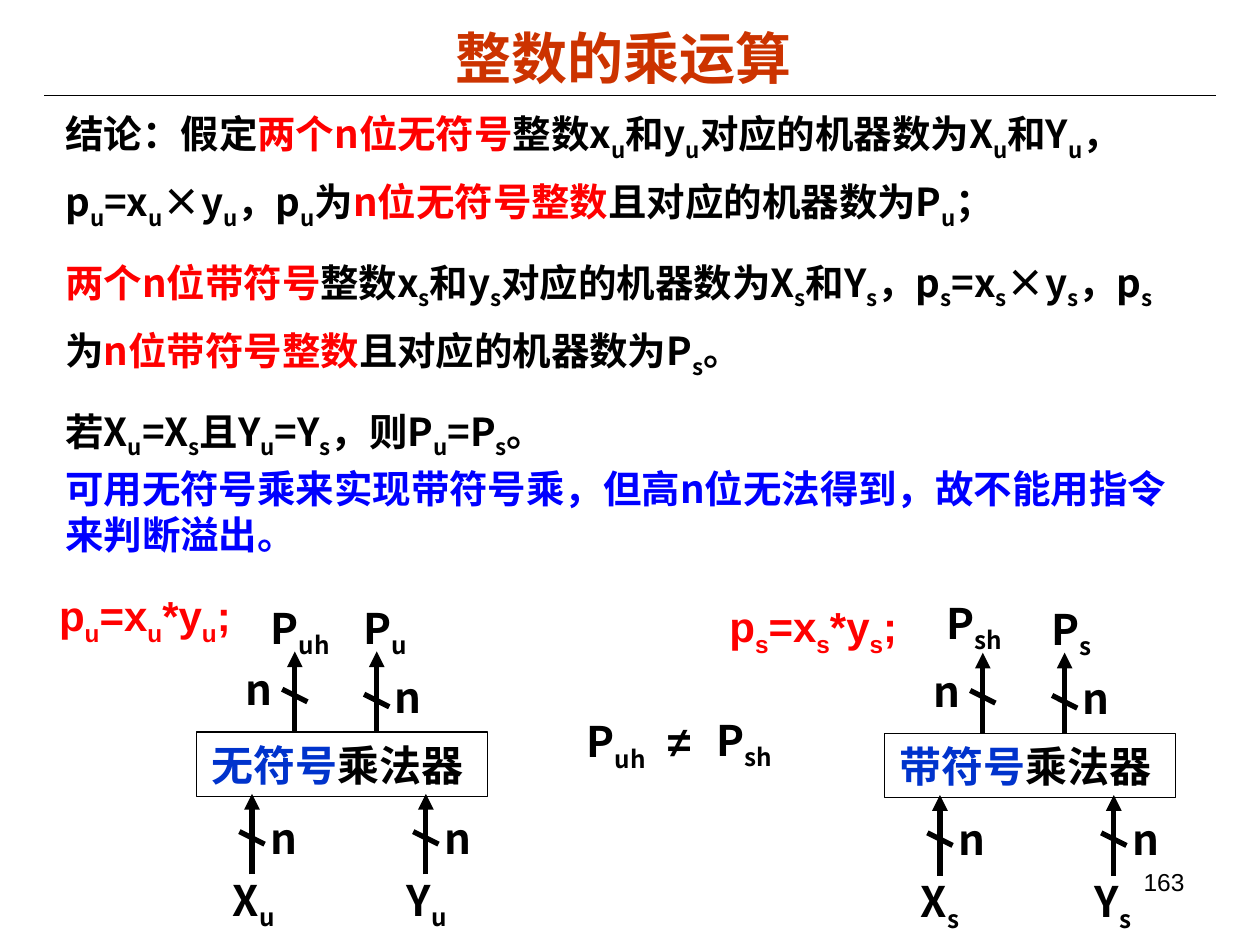
from lxml import etree
from pptx import Presentation
from pptx.dml.color import RGBColor
from pptx.enum import shapes, text
from pptx.oxml import ns
from pptx.util import Inches, Pt

BLACK = RGBColor(0x00, 0x00, 0x00)
RED = RGBColor(0xFF, 0x00, 0x00)
BLUE = RGBColor(0x00, 0x00, 0xFF)
DEEP_BLUE = RGBColor(0x00, 0x33, 0xCC)
RUST = RGBColor(0xCC, 0x33, 0x00)
SANS, CJK = "Arial", "Noto Sans CJK SC"

# Content: #...# is accented, ~...~ is subscript
TITLE = "整数的乘运算 "
CONCLUSIONS = [
    "结论：假定#两个n位无符号#整数x~u~和y~u~对应的机器数为X~u~和Y~u~，p~u~=x~u~×y~u~，"
    "p~u~为#n位无符号整数#且对应的机器数为P~u~；",
    "#两个n位带符号#整数x~s~和y~s~对应的机器数为X~s~和Y~s~，p~s~=x~s~×y~s~，"
    "p~s~为#n位带符号整数#且对应的机器数为P~s~。",
    "若X~u~=X~s~且Y~u~=Y~s~，则P~u~=P~s~。",
]
REMARK = ["可用无符号乘来实现带符号乘，但高n位无法得到，故不能用指令来判断溢出。"]
PAGE_NUMBER = "163"

# Multipliers: box corner, subscript, name, formula box and high-half box
MULTIPLIERS = [
    dict(corner=(1.56, 5.81), sub="u", name="#无符号#乘法器 ",
         formula=(0.37, 4.63, 1.62, 0.5), high=(2.05, 4.73, 0.74, 0.5)),
    dict(corner=(7.02, 5.82), sub="s", name="#带符号#乘法器 ",
         formula=(5.69, 4.72, 1.58, 0.5), high=(7.41, 4.69, 0.69, 0.5)),
]
BOX_WIDTH, BOX_HEIGHT = 2.31, 0.51
ARROW_LENGTH = 0.64
# Arrows, relative to the box corner: x, start y, middle y of the tick
ARROWS = [(0.44, 1.13, 0.84), (1.82, 1.13, 0.84),
          (0.78, 0, -0.29), (1.43, 0, -0.25)]
# Labels, relative to the box corner
LABELS = [("X~{}~", 0.19, 1.08), ("Y~{}~", 1.57, 1.08), ("P~{}~", 1.23, -1.08),
          ("n", 0.29, -0.59), ("n", 1.47, -0.53),
          ("n", 0.49, 0.59), ("n", 1.87, 0.59)]
INEQUALITY = [("P~uh~", CJK, (4.56, 5.63, 0.74, 0.5)),
              ("P~sh~", CJK, (5.59, 5.62, 0.69, 0.5)),
              ("≠", SANS, (5.2, 5.63, 0.44, 0.5))]


def write(frame, lines, size=24, font=CJK, color=BLACK, accent=RED, bold=True,
          align=None, line_spacing=None, gap=0):
    for index, line in enumerate(lines):
        paragraph = frame.paragraphs[0] if index == 0 else frame.add_paragraph()
        paragraph.alignment = align
        paragraph.line_spacing = line_spacing
        if index:
            paragraph.space_before = Pt(gap)
        paragraph.font.size, paragraph.font.name = Pt(size), font
        paragraph.font.bold = bold
        paragraph.font.color.rgb = color
        for i, part in enumerate(line.split("#")):
            for j, piece in enumerate(part.split("~")):
                if not piece:
                    continue
                run = paragraph.add_run()
                run.text = piece
                if i % 2:
                    run.font.color.rgb = accent
                if j % 2:
                    run.font._element.set("baseline", "-25000")


def add_text(parent, place, lines, wrap=True, anchor=text.MSO_ANCHOR.TOP, **style):
    frame = parent.add_textbox(*map(Inches, place)).text_frame
    frame.word_wrap = wrap
    frame.auto_size = text.MSO_AUTO_SIZE.SHAPE_TO_FIT_TEXT
    frame.vertical_anchor = anchor
    write(frame, lines, **style)


def add_line(parent, start, end, width=3, arrow=False):
    line = parent.add_connector(shapes.MSO_CONNECTOR.STRAIGHT,
                                *map(Inches, (*start, *end)))
    line.line.color.rgb = BLACK
    line.line.width = Pt(width)
    if arrow:
        etree.SubElement(line.line._get_or_add_ln(), ns.qn("a:tailEnd"), type="triangle")
    etree.SubElement(line._element.spPr, ns.qn("a:effectLst"))


def add_multiplier(parent, corner, sub, name, formula, high):
    left, top = corner
    box = parent.add_shape(shapes.MSO_SHAPE.RECTANGLE,
                           *map(Inches, (left, top, BOX_WIDTH, BOX_HEIGHT)))
    box.shadow.inherit = False
    box.fill.background()
    box.line.color.rgb = BLACK
    box.line.width = Pt(0.75)
    write(box.text_frame, [name], font=SANS, accent=DEEP_BLUE,
          align=text.PP_ALIGN.CENTER)
    for dx, dy, tick in ARROWS:
        x, y, middle = left + dx, top + dy, top + tick
        add_line(parent, (x, y), (x, y - ARROW_LENGTH), arrow=True)
        add_line(parent, (x - 0.1, middle - 0.05), (x + 0.1, middle + 0.05))
    for label, dx, dy in LABELS:
        add_text(parent, (left + dx, top + dy, 0.59, 0.5), [label.format(sub)])
    add_text(parent, formula, ["p~{0}~=x~{0}~*y~{0}~;".format(sub)],
             wrap=False, font=SANS, color=RED)
    add_text(parent, high, [f"P~{sub}h~"])


def main():
    deck = Presentation()
    deck.slide_width, deck.slide_height = Inches(10), Inches(7.5)
    slide = deck.slides.add_slide(deck.slide_layouts[5])
    parts = slide.shapes

    # Title and rule
    title = parts.title
    title.left, title.top, title.width, title.height = map(Inches, (0.5, 0.15, 9, 0.61))
    title.text_frame.vertical_anchor = text.MSO_ANCHOR.MIDDLE
    write(title.text_frame, [TITLE], size=32, font=SANS, color=RUST,
          align=text.PP_ALIGN.CENTER)
    add_line(parts, (0.35, 0.76), (9.65, 0.76), width=0.75)

    # Conclusions
    add_text(parts, (0.42, 0.85, 9.01, 2.7), CONCLUSIONS, size=22,
             anchor=text.MSO_ANCHOR.MIDDLE, line_spacing=1.3, gap=7)
    add_text(parts, (0.42, 3.64, 9.1, 0.84), REMARK, size=22, color=BLUE)

    # Multiplier diagrams and the inequality between them
    for multiplier in MULTIPLIERS:
        add_multiplier(parts, **multiplier)
    inequality = parts.add_group_shape().shapes
    for label, font, place in INEQUALITY:
        add_text(inequality, place, [label], font=font)

    # Page number
    add_text(parts, (7.17, 6.83, 2.33, 0.52), [PAGE_NUMBER], size=14, font=SANS,
             bold=False, align=text.PP_ALIGN.RIGHT)
    deck.save("out.pptx")


if __name__ == "__main__":
    main()
